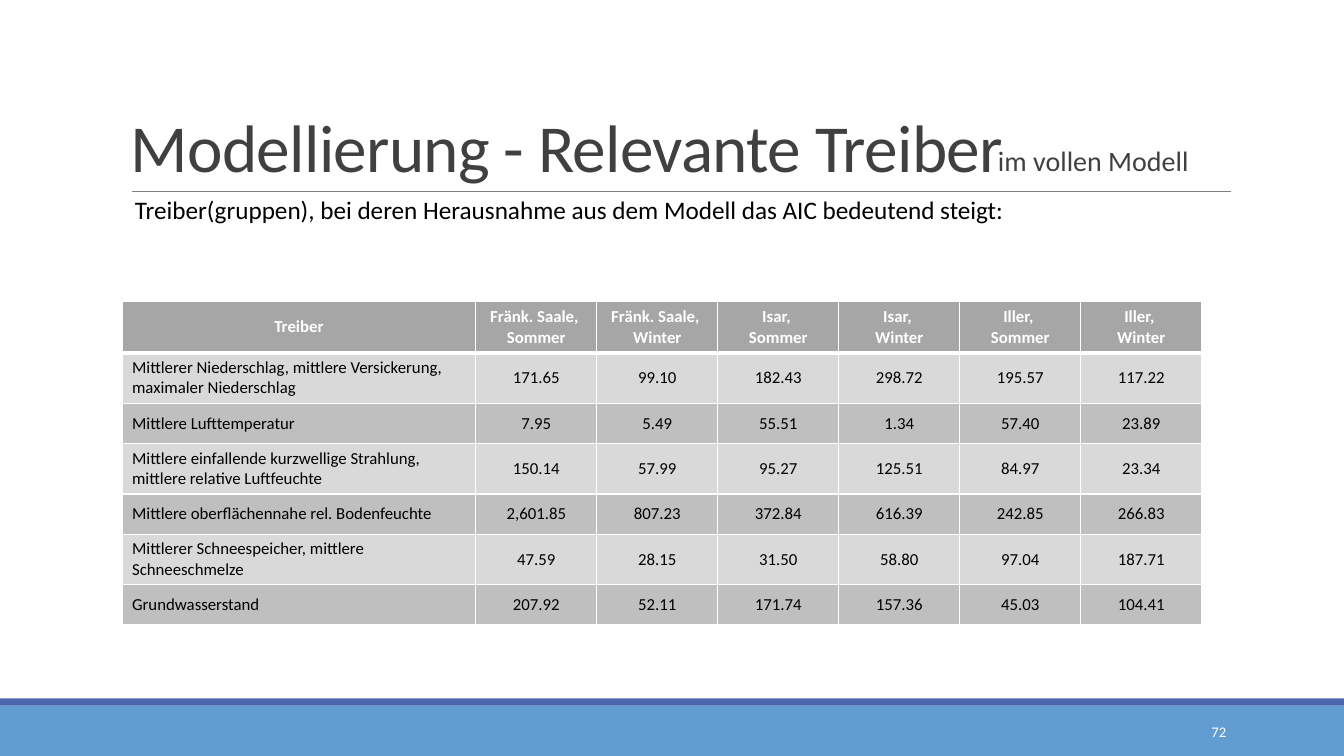
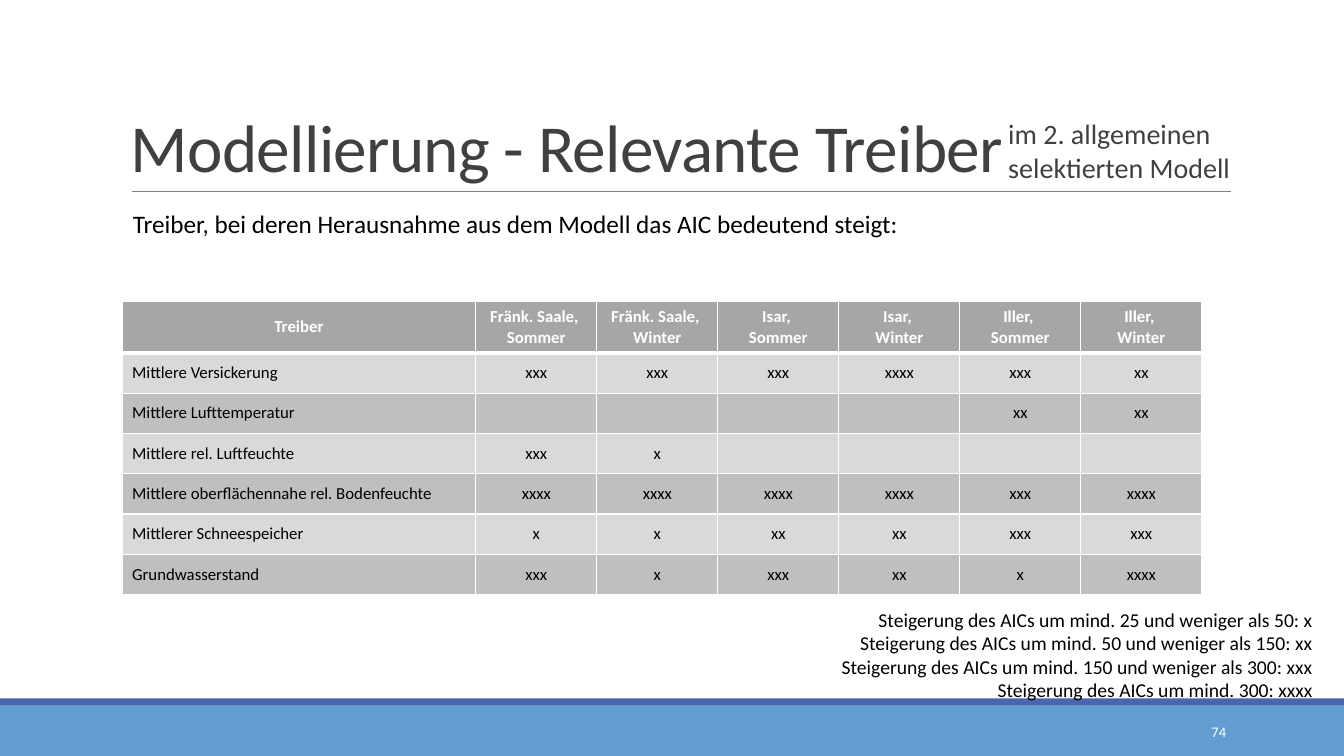
"""Build two slides on relevant drivers of the river models."""
from lxml import etree
from pptx import Presentation
from pptx import util as u
from pptx.dml import color
from pptx.enum import shapes, text
from pptx.oxml import ns

FONT = "Calibri"
WHITE, BLACK, GREY = "FFFFFF", "000000", "404040"
BLUE, NAVY, RULE = "629DD1", "4A66AC", "808080"
HEAD, LIGHT, DARK = "A6A6A6", "D9D9D9", "BFBFBF"
LEFT, MID, RIGHT = text.PP_ALIGN.LEFT, text.PP_ALIGN.CENTER, text.PP_ALIGN.RIGHT
TOP, CENTRE, BOTTOM = text.MSO_ANCHOR.TOP, text.MSO_ANCHOR.MIDDLE, text.MSO_ANCHOR.BOTTOM

TITLE = "Modellierung - Relevante Treiber"
HEADS = ["Treiber"] + [
    f"{river}, \n{season}"
    for river in ("Fränk. Saale", "Isar", "Iller")
    for season in ("Sommer", "Winter")
]
FULL = [
    ("Mittlerer Niederschlag, mittlere Versickerung, maximaler Niederschlag",
     "171.65", "99.10", "182.43", "298.72", "195.57", "117.22"),
    ("Mittlere Lufttemperatur", "7.95", "5.49", "55.51", "1.34", "57.40", "23.89"),
    ("Mittlere einfallende kurzwellige Strahlung, mittlere relative Luftfeuchte",
     "150.14", "57.99", "95.27", "125.51", "84.97", "23.34"),
    ("Mittlere oberflächennahe rel. Bodenfeuchte",
     "2,601.85", "807.23", "372.84", "616.39", "242.85", "266.83"),
    ("Mittlerer Schneespeicher, mittlere Schneeschmelze",
     "47.59", "28.15", "31.50", "58.80", "97.04", "187.71"),
    ("Grundwasserstand", "207.92", "52.11", "171.74", "157.36", "45.03", "104.41"),
]
CHOSEN = [
    ("Mittlere Versickerung", "xxx", "xxx", "xxx", "xxxx", "xxx", "xx"),
    ("Mittlere Lufttemperatur", "", "", "", "", "xx", "xx"),
    ("Mittlere rel. Luftfeuchte", "xxx", "x", "", "", "", ""),
    ("Mittlere oberflächennahe rel. Bodenfeuchte",
     "xxxx", "xxxx", "xxxx", "xxxx", "xxx", "xxxx"),
    ("Mittlerer Schneespeicher", "x", "x", "xx", "xx", "xxx", "xxx"),
    ("Grundwasserstand", "xxx", "x", "xxx", "xx", "x", "xxxx"),
]
LEGEND = "\n".join([
    "Steigerung des AICs um mind. 25 und weniger als 50: x",
    "Steigerung des AICs um mind. 50 und weniger als 150: xx",
    "Steigerung des AICs um mind. 150 und weniger als 300: xxx",
    "Steigerung des AICs um mind. 300: xxxx",
])


def rgb(code):
    """Turn a hex string into a colour."""
    return color.RGBColor.from_string(code)


def write(frame, words, size, hue, align=LEFT, bold=False):
    """Fill a text frame and format its runs."""
    frame.text = words
    for para in frame.paragraphs:
        para.alignment = align
        for run in para.runs:
            run.font.name = FONT
            run.font.size = u.Pt(size)
            run.font.bold = bold
            run.font.color.rgb = rgb(hue)


def label(slide, box, words, size, hue, align=LEFT, anchor=TOP):
    """Add a wrapping text box and return its frame."""
    frame = slide.shapes.add_textbox(*map(u.Inches, box)).text_frame
    frame.word_wrap = True
    frame.vertical_anchor = anchor
    write(frame, words, size, hue, align)
    return frame


def band(slide, top, height, hue):
    """Add a full-width colour band."""
    bar = slide.shapes.add_shape(
        shapes.MSO_SHAPE.RECTANGLE, 0, u.Inches(top), u.Inches(13.33), u.Inches(height))
    bar.shadow.inherit = False
    bar.fill.solid()
    bar.fill.fore_color.rgb = rgb(hue)
    bar.line.fill.background()


def rule(slide, left, right, top):
    """Add the thin line below the title."""
    line = slide.shapes.add_connector(
        shapes.MSO_CONNECTOR.STRAIGHT, *map(u.Inches, (left, top, right, top)))
    line.line.color.rgb = rgb(RULE)
    line.line.width = u.Pt(0.5)
    etree.SubElement(line._element.spPr, ns.qn("a:effectLst"))


def base(deck, number):
    """Add a slide with bands, title and page number."""
    slide = deck.slides.add_slide(deck.slide_layouts[6])
    band(slide, 7, 0.5, BLUE)
    band(slide, 6.93, 0.07, NAVY)
    rule(slide, 1.31, 12.21, 1.9)
    head = label(slide, (1.2, 0.31, 11, 1.59), TITLE, 48, GREY, anchor=BOTTOM)
    para = head.paragraphs[0]
    para.line_spacing = 0.85
    para.runs[0].font._element.set("spc", "-50")
    label(slide, (10.83, 7.06, 1.43, 0.4), str(number), 10.5, WHITE, RIGHT, CENTRE)
    return slide


def edge(cell, top, bottom):
    """Draw white borders, with widths in points for top and bottom."""
    props = cell._tc.get_or_add_tcPr()
    for spot, (side, width) in enumerate(zip("LRTB", (1, 1, top, bottom))):
        line = etree.Element(ns.qn(f"a:ln{side}"), w=str(u.Pt(width)))
        fill = etree.SubElement(line, ns.qn("a:solidFill"))
        etree.SubElement(fill, ns.qn("a:srgbClr"), val=WHITE)
        props.insert(spot, line)


def grid(slide, rows):
    """Add the driver table below its header row."""
    data = [HEADS] + rows
    highs = [0.51] + [0.5 if len(row[0]) > 45 else 0.4 for row in rows]
    wides = [3.51] + [1.2] * 6
    box = (1.21, 2.99, sum(wides), sum(highs))
    table = slide.shapes.add_table(len(data), len(wides), *map(u.Inches, box)).table
    for col, wide in zip(table.columns, wides):
        col.width = u.Inches(wide)
    for r, (row, high) in enumerate(zip(data, highs)):
        table.rows[r].height = u.Inches(high)
        first = r == 0
        for c, words in enumerate(row):
            cell = table.cell(r, c)
            cell.margin_top = cell.margin_bottom = u.Inches(0.04)
            cell.vertical_anchor = CENTRE
            cell.fill.solid()
            cell.fill.fore_color.rgb = rgb(HEAD if first else LIGHT if r % 2 else DARK)
            edge(cell, 3 if r == 1 else 1, 3 if first else 1)
            write(cell.text_frame, words, 12, WHITE if first else BLACK,
                  MID if first or c else LEFT, first)


def main():
    """Build and save the deck."""
    deck = Presentation()
    deck.slide_width, deck.slide_height = u.Inches(13.33), u.Inches(7.5)

    slide = base(deck, 72)
    label(slide, (9.8, 1.37, 3, 0.44), "im vollen Modell", 20, GREY)
    label(slide, (1.24, 1.88, 9.38, 0.4),
          "Treiber(gruppen), bei deren Herausnahme aus dem Modell das AIC bedeutend steigt:",
          18, BLACK)
    grid(slide, FULL)

    slide = base(deck, 74)
    note = label(slide, (10, 1.11, 3, 0.77),
                 "im 2. allgemeinen\nselektierten Modell", 20, GREY)
    note.margin_left = note.margin_right = 0
    label(slide, (1.22, 2.02, 9.1, 0.4),
          "Treiber, bei deren Herausnahme aus dem Modell das AIC bedeutend steigt:",
          18, BLACK)
    label(slide, (6.33, 5.98, 6.79, 1.04), LEGEND, 14, BLACK, RIGHT)
    grid(slide, CHOSEN)

    deck.save("out.pptx")


if __name__ == "__main__":
    main()
